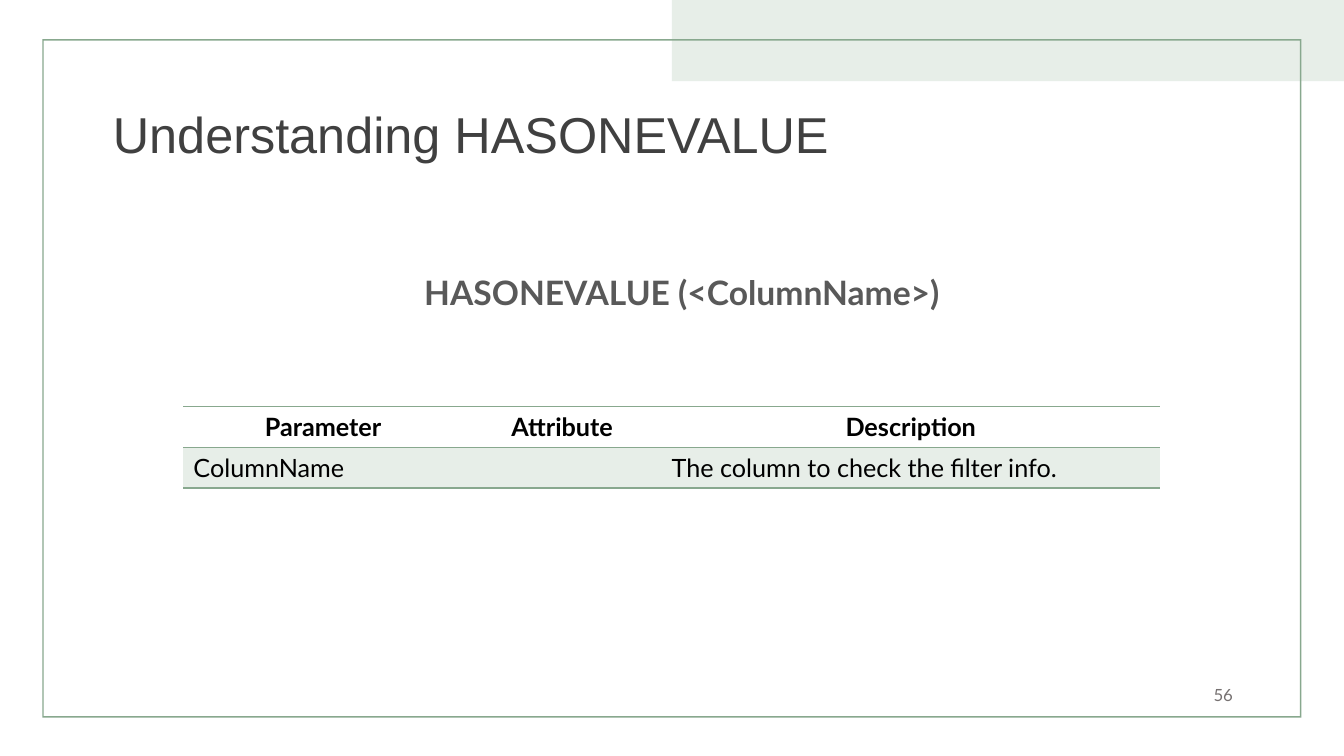
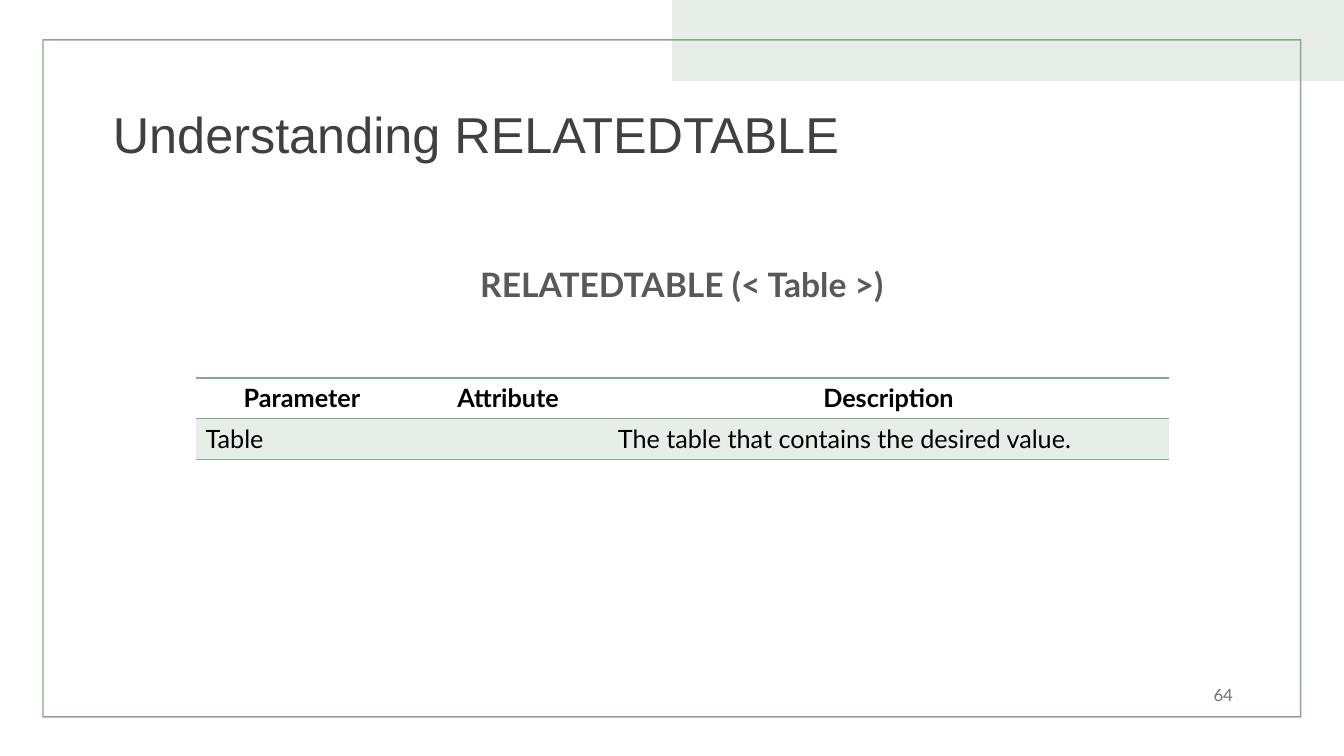
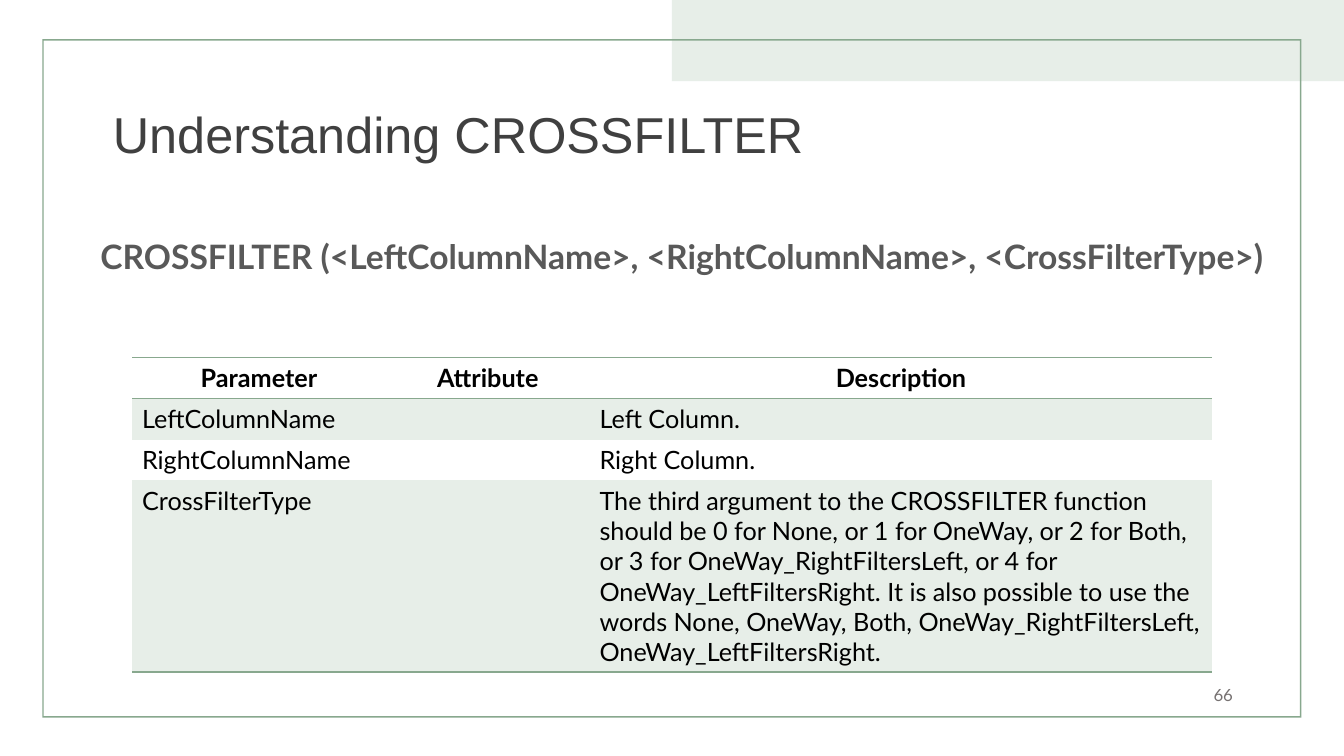
from dataclasses import dataclass

from lxml import etree
from pptx import Presentation
from pptx.dml.color import RGBColor
from pptx.enum.shapes import MSO_SHAPE
from pptx.enum.text import MSO_ANCHOR, MSO_AUTO_SIZE, PP_ALIGN
from pptx.oxml.ns import qn
from pptx.slide import Slide
from pptx.table import _Cell
from pptx.text.text import TextFrame
from pptx.util import Pt

LEFT, CENTER, RIGHT = PP_ALIGN.LEFT, PP_ALIGN.CENTER, PP_ALIGN.RIGHT
TOP, MIDDLE = MSO_ANCHOR.TOP, MSO_ANCHOR.MIDDLE
RECTANGLE, FRAME = MSO_SHAPE.RECTANGLE, MSO_SHAPE.FRAME
NO_AUTO_SIZE = MSO_AUTO_SIZE.NONE

GREEN = RGBColor(0x88, 0xA8, 0x8E)
PALE_GREEN = RGBColor(0xE7, 0xEE, 0xE8)
BLACK = RGBColor(0x00, 0x00, 0x00)
TITLE_GRAY = RGBColor(0x40, 0x40, 0x40)
SYNTAX_GRAY = RGBColor(0x59, 0x59, 0x59)
NUMBER_GRAY = RGBColor(0x76, 0x71, 0x71)

TITLE_FONT = "Arial"
BODY_FONT = "Lato"
SLIDE_WIDTH, SLIDE_HEIGHT = 960, 540
TITLE_ONLY_LAYOUT = 5
ROW_HEIGHT = 29.2
TALL_ROW_HEIGHT = 136.8
PLAIN_TABLE_STYLE = "{2D5ABB26-0587-4C30-8999-92F81FD0307C}"
HEADERS = ("Parameter", "Attribute", "Description")


@dataclass(frozen=True)
class Box:
    left: float
    top: float
    width: float
    height: float

    def lengths(self) -> tuple[Pt, Pt, Pt, Pt]:
        return Pt(self.left), Pt(self.top), Pt(self.width), Pt(self.height)


@dataclass(frozen=True)
class Parameter:
    name: str
    description: str
    row_height: float = ROW_HEIGHT


@dataclass(frozen=True)
class FunctionPage:
    number: int
    function: str
    arguments: str
    syntax_top: float
    table_left: float
    table_top: float
    column_widths: tuple[float, float, float]
    parameters: tuple[Parameter, ...]


BAND_BOX = Box(SLIDE_WIDTH / 2, 0, SLIDE_WIDTH / 2, 58)
FRAME_BOX = Box(30.2, 28, 899.3, 484.6)
TITLE_BOX = Box(73.4, 38.2, 828, 120.2)
NUMBER_BOX = Box(671.8, 481.7, 216, 28.8)

PAGES = (
    FunctionPage(
        56, "HASONEVALUE", "(<ColumnName>)", 193.7, 131, 290.2, (199.6, 142, 356),
        (Parameter("ColumnName", "The column to check the filter info."),),
    ),
    FunctionPage(
        64, "RELATEDTABLE", "(< Table >)", 187.9, 139.7, 270, (152, 142.5, 401),
        (Parameter("Table", "The table that contains the desired value."),),
    ),
    FunctionPage(
        66, "CROSSFILTER", "(<LeftColumnName>, <RightColumnName>, <CrossFilterType>)",
        168.5, 94.3, 255.6, (181.4, 145.4, 445),
        (
            Parameter("LeftColumnName", "Left Column."),
            Parameter("RightColumnName", "Right Column."),
            Parameter(
                "CrossFilterType",
                "The third argument to the CROSSFILTER function should be 0 for None, "
                "or 1 for OneWay, or 2 for Both, or 3 for OneWay_RightFiltersLeft, "
                "or 4 for OneWay_LeftFiltersRight. It is also possible to use the words "
                "None, OneWay, Both, OneWay_RightFiltersLeft, OneWay_LeftFiltersRight.",
                TALL_ROW_HEIGHT,
            ),
        ),
    ),
)


def write_text(
    text_frame: TextFrame,
    text: str,
    *,
    size: float,
    color: RGBColor,
    font: str = BODY_FONT,
    bold: bool = False,
    align: PP_ALIGN = LEFT,
    line_spacing: float = 1.0,
) -> None:
    paragraph = text_frame.paragraphs[0]
    paragraph.alignment = align
    paragraph.line_spacing = line_spacing
    run = paragraph.add_run()
    run.text = text
    run.font.name = font
    run.font.size = Pt(size)
    run.font.bold = bold
    run.font.color.rgb = color


def add_text_box(slide: Slide, box: Box, anchor: MSO_ANCHOR) -> TextFrame:
    text_frame = slide.shapes.add_textbox(*box.lengths()).text_frame
    text_frame.word_wrap = True
    text_frame.margin_left = text_frame.margin_right = Pt(0)
    text_frame.vertical_anchor = anchor
    return text_frame


def add_backdrop(slide: Slide) -> None:
    """Draw the corner band and the thin frame that every slide shares."""
    for kind, box, color in ((RECTANGLE, BAND_BOX, PALE_GREEN), (FRAME, FRAME_BOX, GREEN)):
        shape = slide.shapes.add_shape(kind, *box.lengths())
        shape.shadow.inherit = False
        shape.fill.solid()
        shape.fill.fore_color.rgb = color
        shape.line.fill.background()
        if kind == FRAME:
            shape.adjustments[0] = 0.002


def add_title(slide: Slide, text: str) -> None:
    title = slide.shapes.title
    title.left, title.top, title.width, title.height = TITLE_BOX.lengths()
    title.text_frame.auto_size = NO_AUTO_SIZE
    title.text_frame.vertical_anchor = MIDDLE
    write_text(title.text_frame, text, size=36, color=TITLE_GRAY, font=TITLE_FONT,
               line_spacing=0.9)


def add_page_number(slide: Slide, number: int) -> None:
    text_frame = add_text_box(slide, NUMBER_BOX, MIDDLE)
    text_frame.margin_right = Pt(7.2)
    write_text(text_frame, str(number), size=12, color=NUMBER_GRAY, align=RIGHT)


def add_border(cell: _Cell, tag: str) -> None:
    """Add a green line to one side; call before setting the cell's fill."""
    border = etree.SubElement(cell._tc.get_or_add_tcPr(), qn(tag), w=str(Pt(1)))
    fill = etree.SubElement(border, qn("a:solidFill"))
    etree.SubElement(fill, qn("a:srgbClr"), val=str(GREEN))


def add_parameter_table(slide: Slide, page: FunctionPage) -> None:
    rows = [HEADERS] + [(item.name, "", item.description) for item in page.parameters]
    heights = [ROW_HEIGHT] + [item.row_height for item in page.parameters]
    box = Box(page.table_left, page.table_top, sum(page.column_widths), sum(heights))
    table = slide.shapes.add_table(len(rows), len(HEADERS), *box.lengths()).table
    table._tbl.tblPr.find(qn("a:tableStyleId")).text = PLAIN_TABLE_STYLE
    for column, width in zip(table.columns, page.column_widths):
        column.width = Pt(width)
    for row, height in zip(table.rows, heights):
        row.height = Pt(height)

    for row_index, texts in enumerate(rows):
        is_header = row_index == 0
        for column_index, text in enumerate(texts):
            cell = table.cell(row_index, column_index)
            if is_header:
                add_border(cell, "a:lnT")
            if is_header or row_index == len(rows) - 1:
                add_border(cell, "a:lnB")
            if row_index % 2:
                cell.fill.solid()
                cell.fill.fore_color.rgb = PALE_GREEN
            else:
                cell.fill.background()
            if text:
                write_text(cell.text_frame, text, size=18, color=BLACK, bold=is_header,
                           align=CENTER if is_header else LEFT)


def add_function_slide(presentation: Presentation, page: FunctionPage) -> None:
    slide = presentation.slides.add_slide(presentation.slide_layouts[TITLE_ONLY_LAYOUT])
    add_backdrop(slide)
    add_title(slide, f"Understanding {page.function}")
    syntax_box = Box(64, page.syntax_top, 846, 39.6)
    write_text(add_text_box(slide, syntax_box, TOP), f"{page.function} {page.arguments}",
               size=24, color=SYNTAX_GRAY, bold=True, align=CENTER, line_spacing=0.9)
    add_page_number(slide, page.number)
    add_parameter_table(slide, page)


def main() -> None:
    presentation = Presentation()
    presentation.slide_width = Pt(SLIDE_WIDTH)
    presentation.slide_height = Pt(SLIDE_HEIGHT)
    for page in PAGES:
        add_function_slide(presentation, page)
    presentation.save("out.pptx")


if __name__ == "__main__":
    main()
